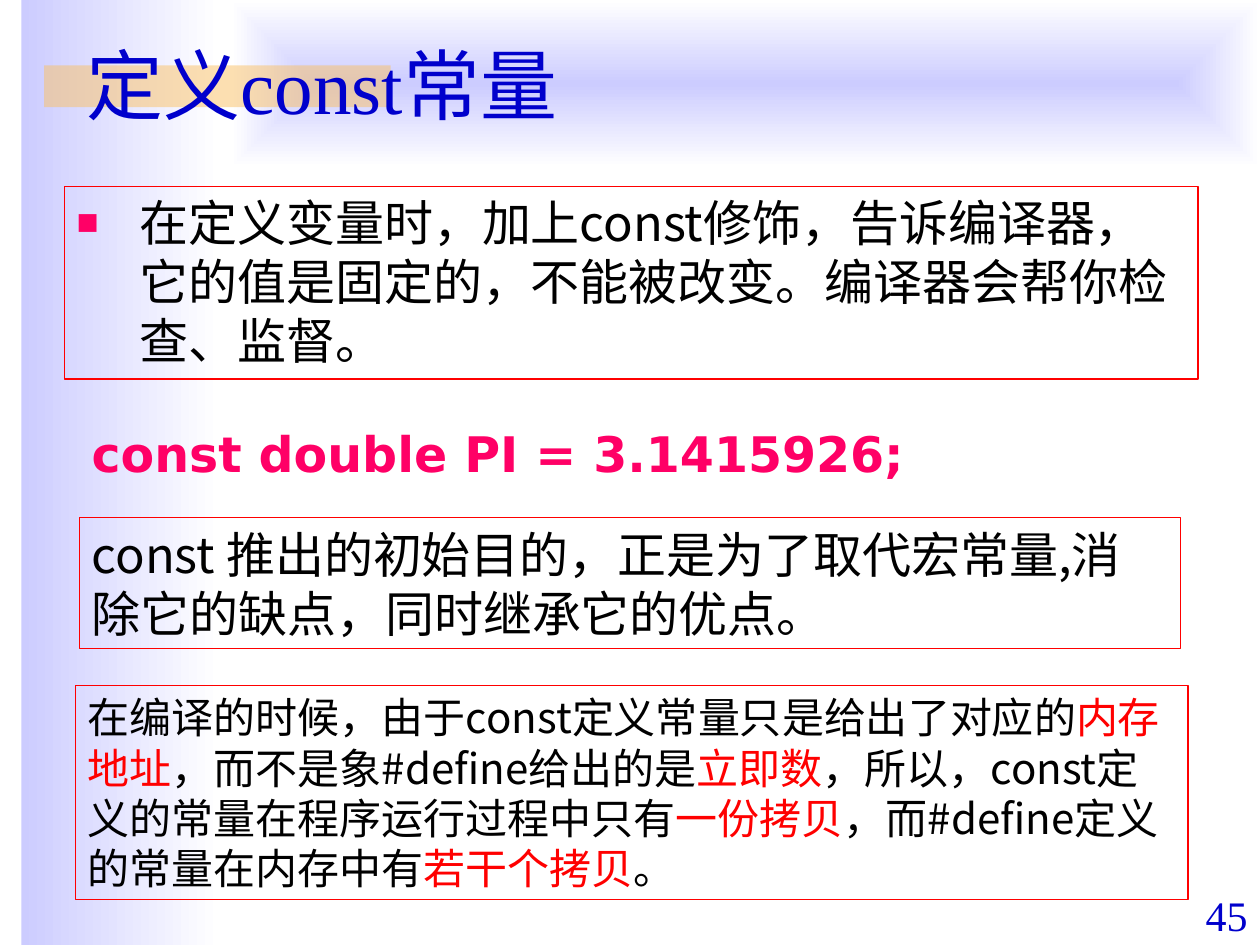
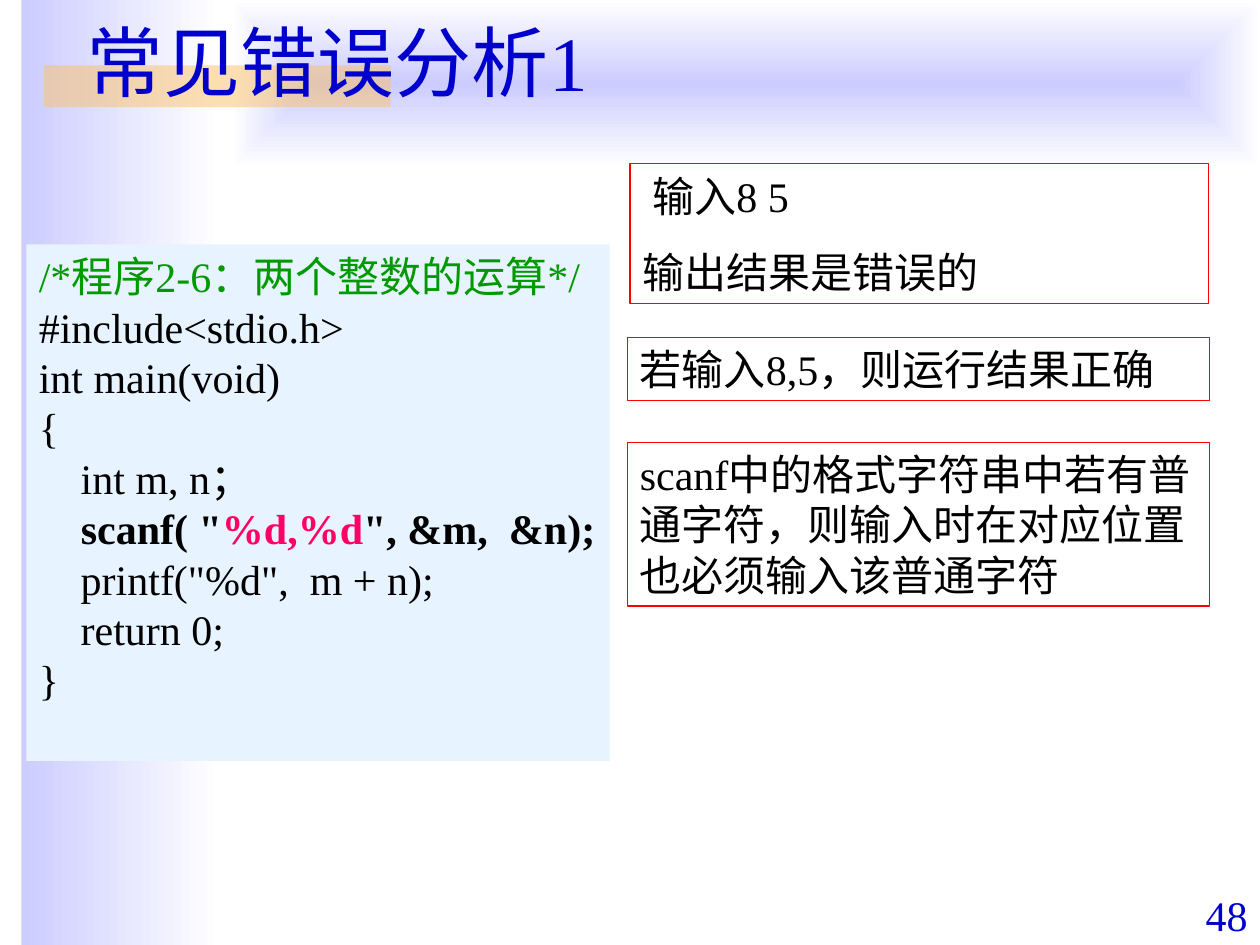
"""Build two lecture slides on constants and common input errors in C."""
from dataclasses import dataclass
from typing import Optional

from lxml import etree
from pptx import Presentation
from pptx.dml.color import RGBColor
from pptx.enum.shapes import MSO_SHAPE
from pptx.enum.text import MSO_ANCHOR, PP_ALIGN
from pptx.oxml.ns import qn
from pptx.presentation import Presentation as Deck
from pptx.shapes.autoshape import Shape
from pptx.slide import Slide
from pptx.text.text import _Paragraph as Paragraph
from pptx.util import Inches, Pt

RECTANGLE = MSO_SHAPE.RECTANGLE
TOP, MIDDLE, BOTTOM = MSO_ANCHOR.TOP, MSO_ANCHOR.MIDDLE, MSO_ANCHOR.BOTTOM
LEFT, RIGHT = PP_ALIGN.LEFT, PP_ALIGN.RIGHT


@dataclass(frozen=True)
class Theme:
    """Colours, fonts and type sizes of the deck."""

    white: str = "FFFFFF"
    lavender: str = "CCCCFF"
    orange: str = "FAC164"
    blue: str = "0000CC"
    black: str = "000000"
    red: str = "FF0000"
    pink: str = "FF0066"
    green: str = "009900"
    code_fill: str = "E7F3FF"
    serif: str = "Times New Roman"
    sans: str = "Noto Sans CJK SC"
    mono_like: str = "DejaVu Sans"
    title_size: int = 44
    large_size: int = 28
    text_size: int = 24
    frame_width: float = 0.75


THEME = Theme()


@dataclass(frozen=True)
class Area:
    """A rectangle in inches."""

    left: float
    top: float
    width: float
    height: float


@dataclass(frozen=True)
class Span:
    """A stretch of text in one style."""

    text: str
    color: str = THEME.black
    bold: bool = False


@dataclass(frozen=True)
class Line:
    """A paragraph made of spans."""

    spans: tuple[Span, ...]
    indent: float = 0
    bullet: bool = False


@dataclass(frozen=True)
class Panel:
    """A text block with an optional frame or fill."""

    area: Area
    lines: tuple[Line, ...]
    size: int = THEME.text_size
    font: str = THEME.serif
    frame: Optional[str] = None
    fill: Optional[str] = None
    anchor: MSO_ANCHOR = TOP
    align: PP_ALIGN = LEFT
    gap: float = 0


@dataclass(frozen=True)
class Page:
    """The content of one slide."""

    title: str
    title_area: Area
    number: int
    panels: tuple[Panel, ...]


def line(text: str, color: str = THEME.black, bold: bool = False, indent: float = 0, bullet: bool = False) -> Line:
    """Make a paragraph in a single style."""
    return Line((Span(text, color, bold),), indent, bullet)


def rgb(color: str) -> RGBColor:
    """Turn a hex string into a colour."""
    return RGBColor.from_string(color)


def add_rectangle(slide: Slide, area: Area) -> Shape:
    """Add a plain rectangle without line or shadow."""
    box = slide.shapes.add_shape(
        RECTANGLE, Inches(area.left), Inches(area.top), Inches(area.width), Inches(area.height)
    )
    box.shadow.inherit = False
    box.line.fill.background()
    return box


def add_gradient(slide: Slide, area: Area, from_center: bool) -> None:
    """Add a lavender band fading to white."""
    fill = (box := add_rectangle(slide, area)).fill
    fill.gradient()
    fill.gradient_angle = 0
    for stop, color in zip(fill.gradient_stops, (THEME.lavender, THEME.white)):
        stop.color.rgb = rgb(color)
    if from_center:
        gradient = box.element.spPr.find(qn("a:gradFill"))
        gradient.remove(gradient.find(qn("a:lin")))
        center = etree.SubElement(gradient, qn("a:path"), {"path": "rect"})
        etree.SubElement(center, qn("a:fillToRect"), {side: "50000" for side in "ltrb"})


def add_backdrop(slide: Slide) -> None:
    """Draw the bands shared by all slides."""
    add_gradient(slide, Area(0.17, 0, 1.58, 7.5), False)
    add_gradient(slide, Area(1.83, 0, 8.17, 1.33), True)
    accent = add_rectangle(slide, Area(0.35, 0.52, 2.75, 0.33))
    accent.fill.solid()
    accent.fill.fore_color.rgb = rgb(THEME.orange)
    color = next(accent.element.spPr.iter(qn("a:srgbClr")))
    etree.SubElement(color, qn("a:alpha"), {"val": "50000"})


def add_bullet(para: Paragraph) -> None:
    """Give a paragraph a hanging pink square."""
    properties = para._p.get_or_add_pPr()
    properties.set("marL", str(Inches(0.5)))
    properties.set("indent", str(Inches(-0.5)))
    color = etree.SubElement(properties, qn("a:buClr"))
    etree.SubElement(color, qn("a:srgbClr"), {"val": THEME.pink})
    etree.SubElement(properties, qn("a:buSzPct"), {"val": "75000"})
    etree.SubElement(properties, qn("a:buFont"), {"typeface": THEME.serif})
    etree.SubElement(properties, qn("a:buChar"), {"char": "■"})


def write_line(para: Paragraph, content: Line, panel: Panel) -> None:
    """Write the spans of one paragraph."""
    para.alignment = panel.align
    if content.bullet:
        add_bullet(para)
    elif content.indent:
        para._p.get_or_add_pPr().set("marL", str(Inches(content.indent)))
    for span in content.spans:
        run = para.add_run()
        run.text = span.text
        run.font.size = Pt(panel.size)
        run.font.bold = span.bold
        run.font.color.rgb = rgb(span.color)
        run.font.name = panel.font
        etree.SubElement(run._r.get_or_add_rPr(), qn("a:ea"), {"typeface": THEME.sans})


def add_panel(slide: Slide, panel: Panel) -> None:
    """Draw a text block."""
    area = panel.area
    if panel.frame or panel.fill:
        box = add_rectangle(slide, area)
        box.fill.background()
    else:
        box = slide.shapes.add_textbox(
            Inches(area.left), Inches(area.top), Inches(area.width), Inches(area.height)
        )
    if panel.fill:
        box.fill.solid()
        box.fill.fore_color.rgb = rgb(panel.fill)
    if panel.frame:
        box.line.color.rgb = rgb(panel.frame)
        box.line.width = Pt(THEME.frame_width)
    frame = box.text_frame
    frame.word_wrap = True
    frame.vertical_anchor = panel.anchor
    for index, content in enumerate(panel.lines):
        para = frame.add_paragraph() if index else frame.paragraphs[0]
        if index and panel.gap:
            para.space_before = Pt(panel.gap)
        write_line(para, content, panel)


def add_page(deck: Deck, page: Page) -> None:
    """Add a slide with backdrop, title, panels and number."""
    slide = deck.slides.add_slide(deck.slide_layouts[6])
    add_backdrop(slide)
    title = Panel(page.title_area, (line(page.title, THEME.blue),), THEME.title_size, anchor=MIDDLE)
    number = Panel(Area(9, 7.01, 1, 0.5), (line(str(page.number), THEME.blue),), anchor=BOTTOM, align=RIGHT)
    for panel in (title, *page.panels, number):
        add_panel(slide, panel)


CONST_PAGE = Page("定义const常量", Area(0.59, 0.33, 8.61, 0.67), 45, (
    Panel(
        Area(0.51, 1.48, 9, 1.53),
        (line("在定义变量时，加上const修饰，告诉编译器，它的值是固定的，不能被改变。编译器会帮你检查、监督。", bullet=True),),
        THEME.large_size, THEME.sans, THEME.red,
    ),
    Panel(
        Area(0.63, 3.31, 9, 0.8),
        (line("const double PI = 3.1415926;", THEME.pink, True),),
        THEME.large_size, THEME.mono_like,
    ),
    Panel(
        Area(0.63, 4.11, 8.74, 1.04),
        (line("const 推出的初始目的，正是为了取代宏常量,消除它的缺点，同时继承它的优点。"),),
        THEME.large_size, THEME.sans, THEME.red, anchor=MIDDLE,
    ),
    Panel(
        Area(0.6, 5.44, 8.83, 1.7),
        (Line((
            Span("在编译的时候，由于const定义常量只是给出了对应的"),
            Span("内存地址", THEME.red),
            Span("，而不是象#define给出的是"),
            Span("立即数", THEME.red),
            Span("，所以，const定义的常量在程序运行过程中只有"),
            Span("一份拷贝", THEME.red),
            Span("，而#define定义的常量在内存中有"),
            Span("若干个拷贝", THEME.red),
            Span("。"),
        )),),
        font=THEME.sans, frame=THEME.red, anchor=MIDDLE,
    ),
))

ERROR_PAGE = Page("常见错误分析1", Area(0.59, -0.03, 9.05, 1.02), 48, (
    Panel(
        Area(0.21, 1.94, 4.63, 4.1),
        (
            line("/*程序2-6：两个整数的运算*/", THEME.green),
            line("#include<stdio.h>"),
            line("int main(void)"),
            line("{"),
            line("    int m, n；"),
            Line((
                Span("    "),
                Span('scanf( "', bold=True),
                Span("%d,%d", THEME.pink, True),
                Span('", &m,  &n);', bold=True),
            )),
            line('    printf("%d",  m + n);'),
            line("    return 0;"),
            line("}"),
        ),
        fill=THEME.code_fill,
    ),
    Panel(
        Area(5, 1.3, 4.59, 1.11),
        (line("输入8 5", indent=0.08), line("输出结果是错误的")),
        frame=THEME.red, gap=15,
    ),
    Panel(Area(4.98, 2.68, 4.62, 0.5), (line("若输入8,5，则运行结果正确"),), frame=THEME.red),
    Panel(
        Area(4.98, 3.51, 4.62, 1.3),
        (line("scanf中的格式字符串中若有普通字符，则输入时在对应位置也必须输入该普通字符"),),
        frame=THEME.red,
    ),
))


def main() -> None:
    """Build and save the deck."""
    deck = Presentation()
    deck.slide_width, deck.slide_height = Inches(10), Inches(7.5)
    for page in (CONST_PAGE, ERROR_PAGE):
        add_page(deck, page)
    deck.save("out.pptx")


if __name__ == "__main__":
    main()
